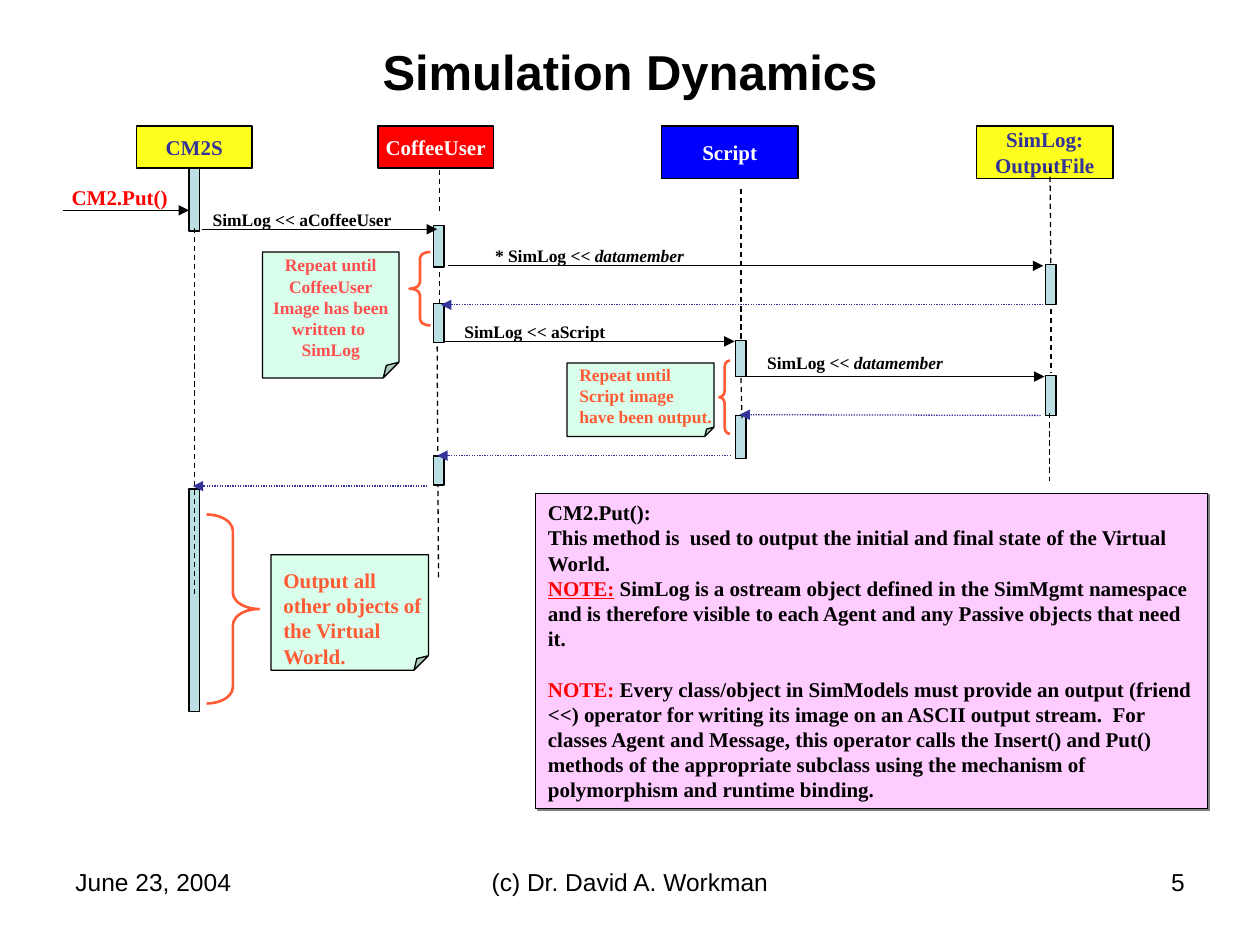
"""Build the Simulation Dynamics sequence diagram slide."""
from dataclasses import dataclass
from lxml import etree
from pptx import Presentation
from pptx.dml.color import RGBColor
from pptx.enum import dml, shapes, text
from pptx.oxml import ns
from pptx.util import Pt

KIND, DASH = shapes.MSO_SHAPE, dml.MSO_LINE
LEFT, MID, RIGHT = text.PP_ALIGN.LEFT, text.PP_ALIGN.CENTER, text.PP_ALIGN.RIGHT


@dataclass(frozen=True)
class Theme:
    black: str = "000000"
    white: str = "FFFFFF"
    navy: str = "333399"
    yellow: str = "FEFE1C"
    red: str = "FF0000"
    blue: str = "0000FF"
    bar: str = "BBE0E3"
    mint: str = "D9FFEC"
    pink: str = "FFCCFF"
    coral: str = "FF5B35"
    rose: str = "FF4F4F"
    shade: str = "808080"
    sans: str = "Arial"
    serif: str = "Times New Roman"
    title: float = 28
    foot: float = 14
    body: float = 12
    small: float = 10


T = Theme()
ITAL = {"italic": True}
NOTE = {"color": T.red}

TITLE = ("Simulation Dynamics", (36, 21.6, 648, 38.16))
FOOT = [("June 23, 2004", 36, 168, LEFT),
        ("(c) Dr. David A. Workman", 246, 228, MID),
        ("5", 516, 168, RIGHT)]
HEADS = [("CM2S", (78, 72, 66, 24), T.yellow, T.navy),
         ("CoffeeUser", (216, 72, 66, 24), T.red, T.white),
         ("Script", (378, 72, 78, 30), T.blue, T.white),
         ("SimLog:\nOutputFile", (558, 72, 78, 30), T.yellow, T.navy)]
LIVES = [
    {"x": 111, "bars": [(96, 36), (279.4, 127.4)],
     "dashes": [(111, 130.3, 111, 341.3)], "cover": []},
    {"x": 250.7, "bars": [(128.9, 23.8), (173.5, 22.3)],
     "dashes": [(251.3, 97.2, 251.3, 121), (251.3, 155.5, 251.3, 175),
                (249.8, 198, 250.6, 332)], "cover": [(260.6, 16.6)]},
    {"x": 423.4, "bars": [(194.4, 20.9), (237.6, 24.5)],
     "dashes": [(423.4, 108, 423.4, 194.4), (423.4, 216, 424, 239)], "cover": []},
    {"x": 600.5, "bars": [(151.2, 23), (214.6, 23)],
     "dashes": [(600, 95.8, 600.5, 151.2), (600.5, 176.4, 600.5, 213.1),
                (599.8, 236.2, 599.8, 275)], "cover": []},
]
CALLS = [(36, 120.2, 108, 120.2), (115.2, 131, 249.8, 131),
         (256.3, 151.9, 596.2, 151.9), (254.2, 195.1, 419.8, 195.1),
         (426.2, 215.2, 596.9, 215.2)]
BACKS = [(596.2, 174.2, 252, 174.2), (594.7, 237.4, 422.6, 237),
         (417.6, 260.4, 249.8, 260.4), (244.1, 277.8, 110.2, 277.8)]
LABELS = [([("SimLog << aCoffeeUser", {})], 114.5, 115.9),
          ([("* SimLog << ", {}), ("datamember", ITAL)], 275.8, 136.2),
          ([("SimLog << aScript", {})], 258.3, 180),
          ([("SimLog << ", {}), ("datamember", ITAL)], 431.3, 197.5)]
BRACES = [(KIND.LEFT_BRACE, (234, 144, 12, 42), 30000),
          (KIND.LEFT_BRACE, (411.1, 206, 6, 42), 60000),
          (KIND.RIGHT_BRACE, (118.1, 294, 30, 108), 31000)]
NOTES = [
    (["Repeat until\nCoffeeUser", "Image has been\nwritten to \nSimLog"],
     (150, 144, 78, 72), {"color": T.rose, "size": T.small, "align": MID}),
    (["Repeat until\nScript image\nhave been output."],
     (324, 207.4, 84, 42), {"color": T.coral, "size": T.small}),
    (["Output all\nother objects of\nthe Virtual\nWorld."],
     (154.8, 317, 90, 66), {"color": T.coral, "top": 18}),
]
MEMO = [
    "CM2.Put():",
    [("This method is  used to output the initial and final state of the Virtual World.\n", {}),
     ("NOTE:", {**NOTE, "under": True}),
     (" SimLog is a ostream object defined in the SimMgmt namespace and is therefore "
      "visible to each Agent and any Passive objects that need it.", {})],
    [("NOTE:", NOTE),
     (" Every class/object in SimModels must provide an output (friend <<) operator for "
      "writing its image on an ASCII output stream.  For classes Agent and Message, this "
      "operator calls the Insert() and Put()\nmethods of the appropriate subclass using "
      "the mechanism of polymorphism and runtime binding.", {})],
]

deck = Presentation()
deck.slide_width, deck.slide_height = Pt(720), Pt(540)
page = deck.slides.add_slide(deck.slide_layouts[6]).shapes


def style(font, face, size, color, bold, italic=False, under=False):
    font.name, font.size, font.bold = face, Pt(size), bold
    font.italic, font.underline = italic, under
    font.color.rgb = RGBColor.from_string(color)


def write(shape, paras, align=LEFT, wrap=False, middle=True, top=3.6, gap=0,
          face=T.serif, size=T.body, color=T.black, bold=True):
    frame = shape.text_frame
    frame.word_wrap, frame.margin_top = wrap, Pt(top)
    frame.vertical_anchor = text.MSO_ANCHOR.MIDDLE if middle else text.MSO_ANCHOR.TOP
    for n, runs in enumerate(paras):
        para = frame.add_paragraph() if n else frame.paragraphs[0]
        para.alignment = align
        if gap and n == len(paras) - 1:
            para.space_before = Pt(gap)
        for words, extra in [(runs, {})] if isinstance(runs, str) else runs:
            look = {"face": face, "size": size, "color": color, "bold": bold, **extra}
            for k, line in enumerate(words.split("\n")):
                if k:
                    para.add_line_break()
                if line:
                    run = para.add_run()
                    run.text = line
                    style(run.font, **look)


def label(box, paras, **fmt):
    write(page.add_textbox(*map(Pt, box)), paras, wrap=True, **fmt)


def block(kind, box, fill=None, line=T.black, width=0.75, guides=()):
    shape = page.add_shape(kind, *map(Pt, box))
    shape.shadow.inherit = False
    if fill:
        shape.fill.solid()
        shape.fill.fore_color.rgb = RGBColor.from_string(fill)
    else:
        shape.fill.background()
    shape.line.color.rgb = RGBColor.from_string(line)
    shape.line.width = Pt(width)
    if guides:
        shape._element.spPr.find(ns.qn("a:prstGeom")).rewrite_guides(guides)
    return shape


def link(ends, color=T.black, dash=None, arrow=True):
    wire = page.add_connector(shapes.MSO_CONNECTOR.STRAIGHT, *map(Pt, ends))
    wire.line.color.rgb = RGBColor.from_string(color)
    wire.line.width = Pt(0.75)
    if dash:
        wire.line.dash_style = dash
    if arrow:
        etree.SubElement(wire.line._get_or_add_ln(), ns.qn("a:tailEnd"), type="triangle")
    etree.SubElement(wire._element.spPr, ns.qn("a:effectLst"))
    return wire


def bar(x, top, high):
    return block(KIND.RECTANGLE, (x - 3, top, 6, high), T.bar)


def shade(shape):
    fx = shape._element.spPr.find(ns.qn("a:effectLst"))
    cast = etree.SubElement(fx, ns.qn("a:outerShdw"), blurRad="0", dist=str(int(Pt(1.4))),
                            dir="2700000", algn="ctr", rotWithShape="0")
    etree.SubElement(cast, ns.qn("a:srgbClr"), val=T.shade)


label(TITLE[1], [TITLE[0]], align=MID, face=T.sans, size=T.title)
for name, box, fill, ink in HEADS:
    write(block(KIND.RECTANGLE, box, fill), [name], align=MID, color=ink)
for life in LIVES:
    tops = {top: bar(life["x"], top, high) for top, high in life["bars"]}
    for ends in life["dashes"]:
        wire = link(ends, dash=DASH.DASH, arrow=False)
        if ends[3] in tops:
            wire.end_connect(tops[ends[3]], 0)
    for top, high in life["cover"]:
        bar(life["x"], top, high)
for ends in CALLS:
    link(ends)
for ends in BACKS:
    link(ends, color=T.navy, dash=DASH.ROUND_DOT)
label((25.9, 102.2, 85, 36), ["CM2.Put()"], align=MID, middle=False, color=T.red)
for runs, x, y in LABELS:
    label((x, y, 130, 19.4), [runs], middle=False, size=T.small)
for kind, box, bend in BRACES:
    block(kind, box, line=T.coral, width=1.5, guides=[("adj1", bend), ("adj2", 50000)])
for paras, box, fmt in NOTES:
    write(block(KIND.FOLDED_CORNER, box, T.mint, guides=[("adj", 12500)]), paras, **fmt)
memo = block(KIND.RECTANGLE, (306, 282, 384, 180), T.pink)
shade(memo)
write(memo, MEMO, wrap=True, middle=False, gap=14.4)
for words, x, wide, side in FOOT:
    label((x, 492, wide, 37.4), [words], align=side, middle=False,
          face=T.sans, size=T.foot, bold=False)
deck.save("out.pptx")
